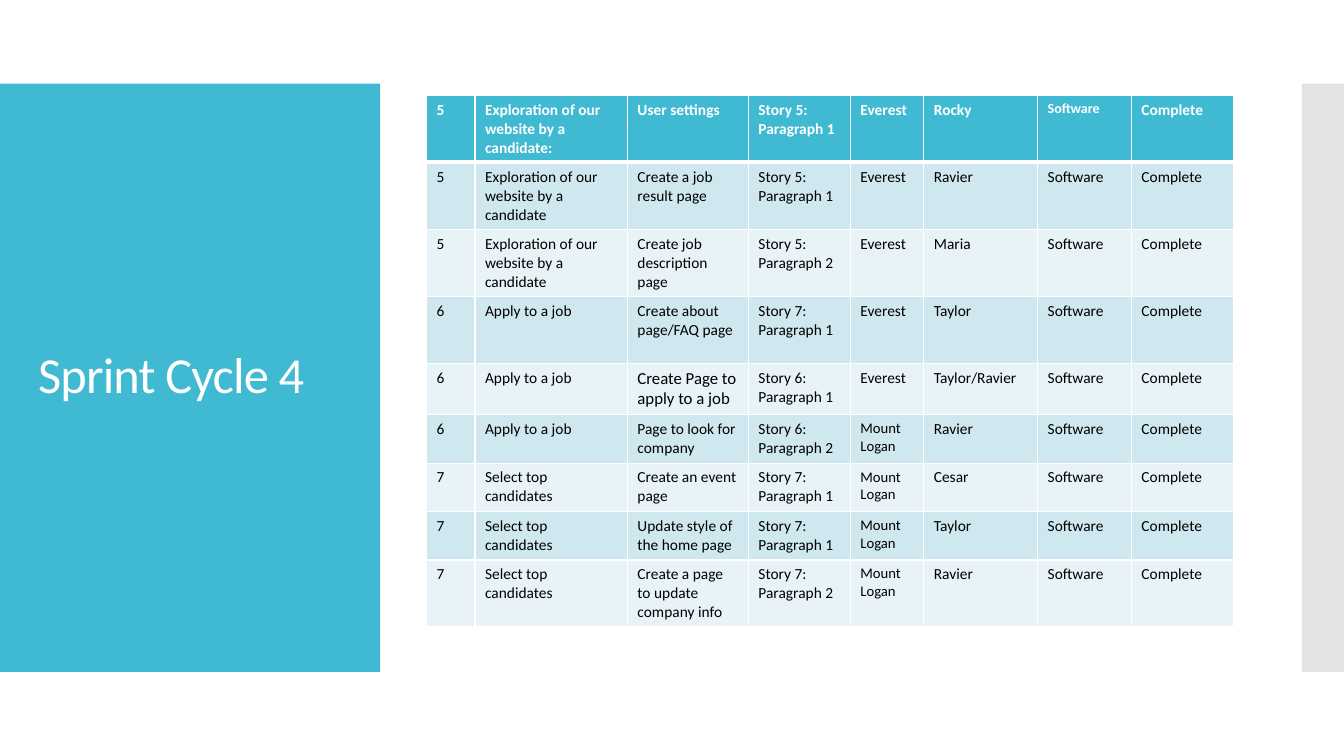
from dataclasses import astuple, dataclass

from lxml.etree import SubElement
from pptx import Presentation
from pptx.dml.color import RGBColor
from pptx.dml.fill import FillFormat
from pptx.enum.shapes import MSO_SHAPE
from pptx.enum.text import MSO_ANCHOR
from pptx.oxml.ns import qn
from pptx.slide import Slide
from pptx.table import _Cell
from pptx.text.text import _Paragraph
from pptx.util import Cm, Pt

FONT = "Calibri"
TEAL, GREY, WHITE, BLACK = "40BAD2", "C8C8C8", "FFFFFF", "000000"
BANDS = ("E8F3F7", "CFE7EE")


@dataclass
class Panel:
    left: float
    width: float
    color: str
    opacity: int = 100


@dataclass
class Task:
    sprint: str
    story: str
    work: str
    source: str
    team: str
    owner: str
    kind: str = "Software"
    status: str = "Complete"


PANELS = [Panel(0, 9.58, TEAL), Panel(32.81, 1.06, GREY, 50)]

EXPLORE = "Exploration of our website by a candidate"
APPLY = "Apply to a job"
SELECT = "Select top candidates"
TASKS = [
    Task("5", EXPLORE + ":", "User settings", "Story 5:\nParagraph 1", "Everest", "Rocky"),
    Task("5", EXPLORE, "Create a job result page", "Story 5:\nParagraph 1", "Everest", "Ravier"),
    Task("5", EXPLORE, "Create job description page", "Story 5:\nParagraph 2", "Everest", "Maria"),
    Task("6", APPLY, "Create about page/FAQ page", "Story 7:\nParagraph 1", "Everest", "Taylor"),
    Task("6", APPLY, "Create Page to apply to a job", "Story 6:\nParagraph 1", "Everest",
         "Taylor/Ravier"),
    Task("6", APPLY, "Page to look for company", "Story 6:\nParagraph 2", "Mount Logan", "Ravier"),
    Task("7", SELECT, "Create an event page", "Story 7:\nParagraph 1", "Mount Logan", "Cesar"),
    Task("7", SELECT, "Update style of the home page", "Story 7:\nParagraph 1", "Mount Logan",
         "Taylor"),
    Task("7", SELECT, "Create a page to update company info", "Story 7:\nParagraph 2",
         "Mount Logan", "Ravier"),
]
COL_WIDTHS = (1.22, 3.84, 3.05, 2.57, 1.85, 2.87, 2.36, 2.59)
ROW_HEIGHTS = (1.69, 1.69, 1.69, 1.69, 1.29, 1.22, 1.22, 1.22, 1.69)
STORY_COL = 1
BODY_SIZE = 11
TEAM_SIZE = 10.5
SPECIAL_SIZES = {(0, 6): 10, (4, 2): 12}


def set_fill(fill: FillFormat, color: str) -> None:
    fill.solid()
    fill.fore_color.rgb = RGBColor.from_string(color)


def add_run(p: _Paragraph, text: str, size: float, color: str, bold: bool = False) -> None:
    r = p.add_run()
    r.text = text
    r.font.name = FONT
    r.font.size = Pt(size)
    r.font.bold = bold
    r.font.color.rgb = RGBColor.from_string(color)


def add_panel(s: Slide, panel: Panel) -> None:
    sp = s.shapes.add_shape(MSO_SHAPE.RECTANGLE, Cm(panel.left), Cm(2.11),
                            Cm(panel.width), Cm(14.82))
    sp.shadow.inherit = False
    sp.line.fill.background()
    set_fill(sp.fill, panel.color)
    if panel.opacity < 100:
        color = sp.fill._xPr.find(qn("a:solidFill"))[0]
        SubElement(color, qn("a:alpha"), val=str(panel.opacity * 1000))


def add_title(s: Slide, text: str) -> None:
    tf = s.shapes.add_textbox(Cm(0.71), Cm(3.12), Cm(8.18), Cm(12.78)).text_frame
    tf.word_wrap = True
    tf.vertical_anchor = MSO_ANCHOR.MIDDLE
    p = tf.paragraphs[0]
    p.line_spacing = 0.9
    add_run(p, text, 36, WHITE)
    p.runs[0].font._element.set("spc", "-60")


def set_borders(cell: _Cell, row: int) -> None:
    """Draw white borders, thicker between the header and the first body row."""
    widths = {"L": 1, "R": 1, "T": 3 if row == 1 else 1, "B": 3 if row == 0 else 1}
    tc_pr = cell._tc.get_or_add_tcPr()
    for side, width in widths.items():
        ln = SubElement(tc_pr, qn(f"a:ln{side}"), w=str(Pt(width)))
        SubElement(SubElement(ln, qn("a:solidFill")), qn("a:srgbClr"), val=WHITE)


def text_size(row: int, col: int, text: str) -> float:
    default = TEAM_SIZE if text == "Mount Logan" else BODY_SIZE
    return SPECIAL_SIZES.get((row, col), default)


def fill_cell(cell: _Cell, row: int, col: int, text: str) -> None:
    header = row == 0
    set_borders(cell, row)
    set_fill(cell.fill, TEAL if header else BANDS[row % 2])
    if col == STORY_COL:
        cell.margin_right = Cm(0.4)
    tf = cell.text_frame
    for i, line in enumerate(text.split("\n")):
        p = tf.add_paragraph() if i else tf.paragraphs[0]
        add_run(p, line, text_size(row, col, text), WHITE if header else BLACK, header)


def add_task_table(s: Slide, tasks: list[Task]) -> None:
    table = s.shapes.add_table(len(tasks), len(COL_WIDTHS), Cm(10.75), Cm(2.4),
                               Cm(sum(COL_WIDTHS)), Cm(sum(ROW_HEIGHTS))).table
    for column, width in zip(table.columns, COL_WIDTHS):
        column.width = Cm(width)
    for row, (task, height) in enumerate(zip(tasks, ROW_HEIGHTS)):
        table.rows[row].height = Cm(height)
        for col, text in enumerate(astuple(task)):
            fill_cell(table.cell(row, col), row, col, text)


def main() -> None:
    prs = Presentation()
    prs.slide_width, prs.slide_height = Cm(33.87), Cm(19.05)
    s = prs.slides.add_slide(prs.slide_layouts[6])
    for panel in PANELS:
        add_panel(s, panel)
    add_title(s, "Sprint Cycle 4")
    add_task_table(s, TASKS)
    prs.save("out.pptx")


if __name__ == "__main__":
    main()
